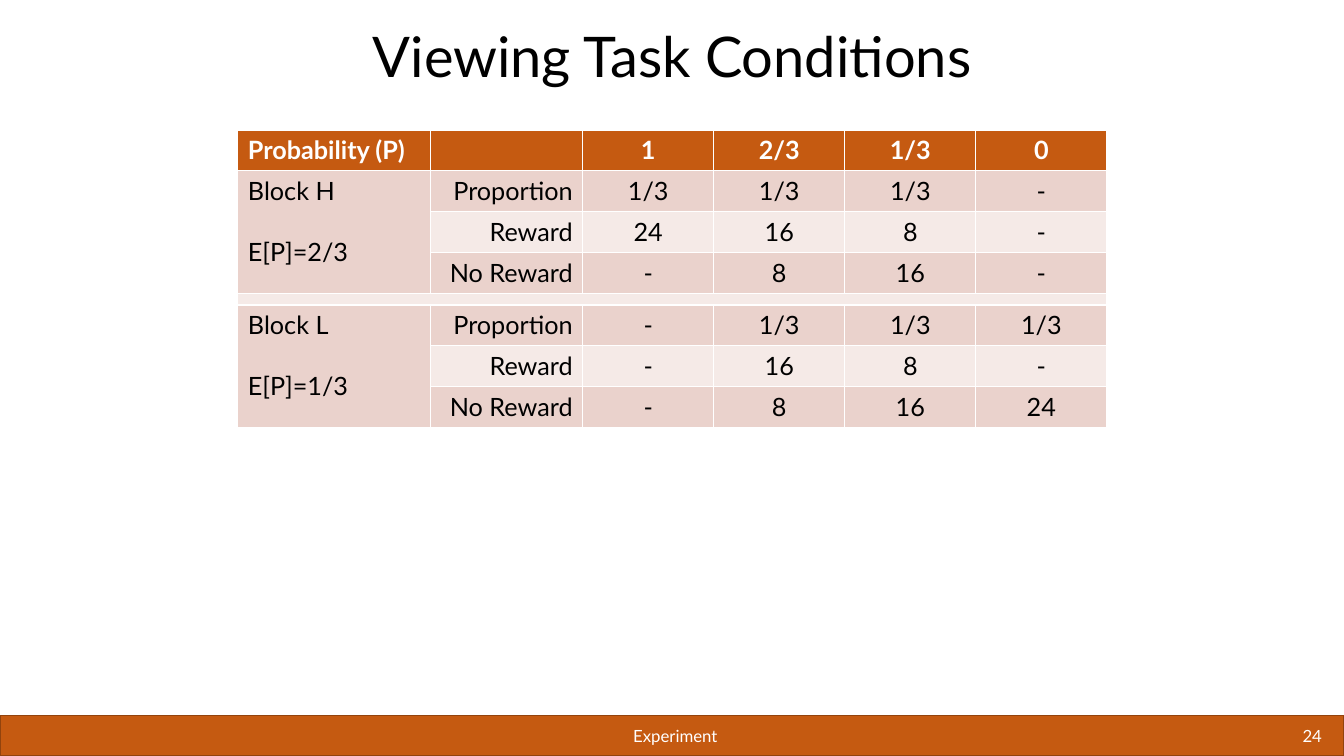
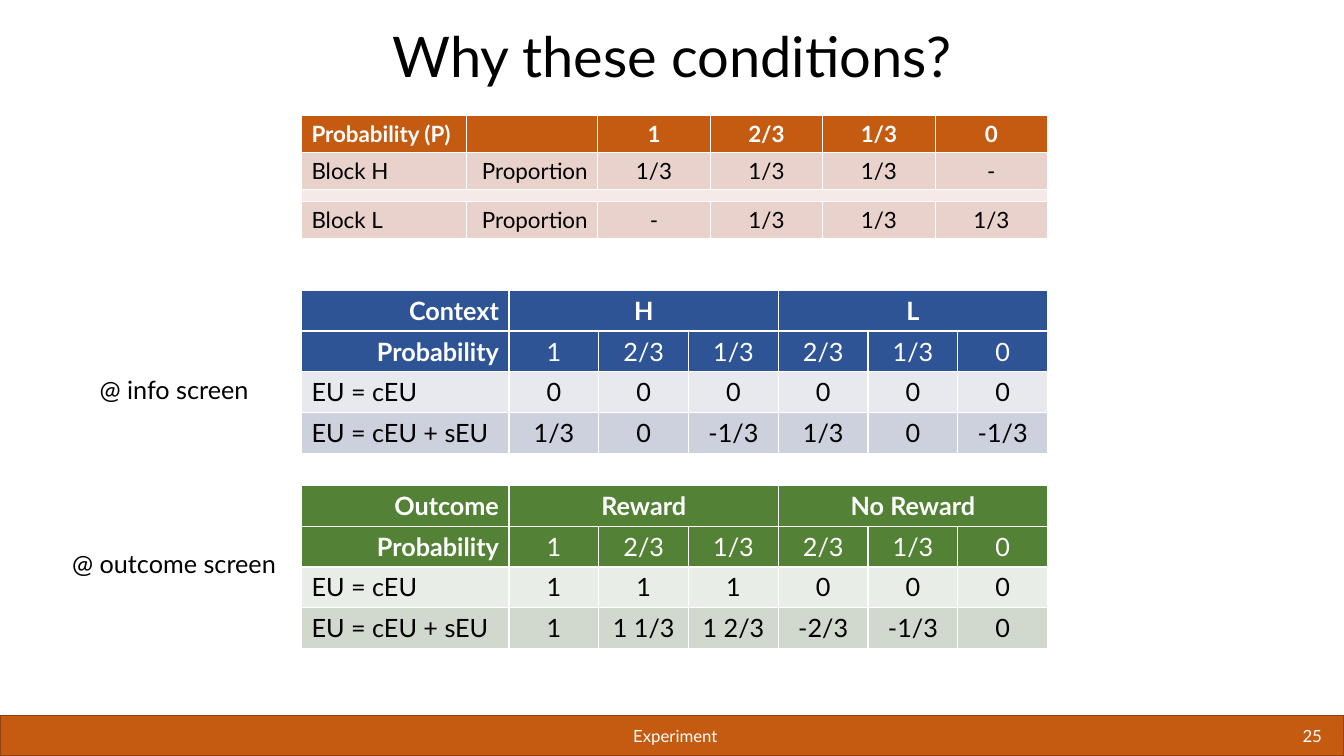
from lxml.etree import SubElement
from pptx import Presentation
from pptx.dml.color import RGBColor
from pptx.enum.shapes import MSO_SHAPE
from pptx.enum.text import MSO_ANCHOR, MSO_AUTO_SIZE, PP_ALIGN
from pptx.oxml.ns import qn
from pptx.util import Inches, Pt

SLIDE_WIDTH = Inches(13.33)
SLIDE_HEIGHT = Inches(7.5)
TITLE_ONLY = 5
FONT = "Lato"
WHITE, BLACK = "FFFFFF", "000000"
ORANGE, ORANGE_EDGE = "C55A11", "92430D"
ORANGE_THEME = (ORANGE, "EAD2CC", "F5EAE7")
BLUE_THEME = ("2F5496", "CDD1DD", "E8E9EF")
GREEN_THEME = ("538135", "D1D8CE", "E9EDE8")
ALIGNMENTS = {"l": PP_ALIGN.LEFT, "c": PP_ALIGN.CENTER, "r": PP_ALIGN.RIGHT}
BAND = (0, 94.67, 100, 5.33)
GAP_ROW = []
BLOCK_HEADER = ["Probability (P)", "", "1", "2/3", "1/3", "0"]
HIGH_PROPORTION = ["Proportion", "1/3", "1/3", "1/3", "-"]
LOW_PROPORTION = ["Proportion", "-", "1/3", "1/3", "1/3"]


def color(value):
    return RGBColor.from_string(value)


def across(percent):
    return round(SLIDE_WIDTH * percent / 100)


def down(percent):
    return round(SLIDE_HEIGHT * percent / 100)


def area(left, top, width, height):
    return across(left), down(top), across(width), down(height)


def write(text_frame, text, size, text_color, alignment="c", bold=False):
    text_frame.text = text
    for paragraph in text_frame.paragraphs:
        paragraph.alignment = ALIGNMENTS[alignment]
        font = paragraph.font
        font.name = FONT
        font.size = Pt(size)
        font.bold = bold
        font.color.rgb = color(text_color)


def set_empty_size(cell, size):
    paragraph = cell.text_frame.paragraphs[0]
    SubElement(paragraph._p, qn("a:endParaRPr"), sz=str(size * 100))


def add_label(slide, position, text, size, text_color, alignment="c"):
    shape = slide.shapes.add_textbox(*area(*position))
    text_frame = shape.text_frame
    text_frame.word_wrap = True
    text_frame.vertical_anchor = MSO_ANCHOR.MIDDLE
    write(text_frame, text, size, text_color, alignment)


def add_footer(slide, number):
    band = slide.shapes.add_shape(MSO_SHAPE.RECTANGLE, *area(*BAND))
    band.shadow.inherit = False
    band.fill.solid()
    band.fill.fore_color.rgb = color(ORANGE)
    band.line.color.rgb = color(ORANGE_EDGE)
    band.line.width = Pt(1)
    _, top, _, height = BAND
    add_label(slide, (16.8, top, 66.9, height), "Experiment", 12, WHITE)
    add_label(slide, (83.65, top, 15.45, height), str(number), 12, WHITE, "r")


def add_titled_slide(presentation, title, number):
    slide = presentation.slides.add_slide(presentation.slide_layouts[TITLE_ONLY])
    shape = slide.shapes.title
    shape.left, shape.top, shape.width, shape.height = area(4.95, 3.07, 90.1, 9.47)
    text_frame = shape.text_frame
    text_frame.auto_size = MSO_AUTO_SIZE.NONE
    text_frame.vertical_anchor = MSO_ANCHOR.BOTTOM
    write(text_frame, title, 40, BLACK)
    text_frame.paragraphs[0].line_spacing = 0.9
    add_footer(slide, number)
    return slide


def add_grid(slide, left, top, widths, rows, theme, alignments, merges=(),
             header_rows=1, size=18, row_height=5.4, gap_height=1.5):
    header_fill, *bands = theme
    header_alignments, body_alignments = alignments
    heights = [row_height if row else gap_height for row in rows]
    position = area(left, top, sum(widths), sum(heights))
    table = slide.shapes.add_table(len(rows), len(widths), *position).table
    for column, width in zip(table.columns, widths):
        column.width = across(width)
    for row_index, (values, height) in enumerate(zip(rows, heights)):
        table.rows[row_index].height = down(height)
        is_header = row_index < header_rows
        row_alignments = header_alignments if is_header else body_alignments
        for column_index in range(len(widths)):
            cell = table.cell(row_index, column_index)
            cell.fill.solid()
            cell.fill.fore_color.rgb = color(
                header_fill if is_header else bands[(row_index - 1) % 2])
            text = values[column_index] if values else ""
            if text:
                bold = row_index == 0 or (is_header and column_index == 0)
                write(cell.text_frame, text, size, WHITE if is_header else BLACK,
                      row_alignments[column_index], bold)
                for paragraph in cell.text_frame.paragraphs[1:]:
                    paragraph.space_before = Pt(size * 1.2)
            else:
                set_empty_size(cell, size if values else 1)
        if not values:
            table.cell(row_index, 0).merge(table.cell(row_index, len(widths) - 1))
    for first, last in merges:
        table.cell(*first).merge(table.cell(*last))


def add_utility_grid(slide, top, theme, heading, groups, plain, combined):
    first_group, second_group = groups
    rows = [
        [heading, first_group, "", "", second_group, "", ""],
        ["Probability", "1", "2/3", "1/3", "2/3", "1/3", "0"],
        ["EU = cEU", *plain],
        ["EU = cEU + sEU", *combined],
    ]
    add_grid(slide, 22.43, top, [15.45] + [6.68] * 6, rows, theme,
             ("rcccccc", "lcccccc"), [((0, 1), (0, 3)), ((0, 4), (0, 6))],
             header_rows=2)


def add_conditions_slide(presentation):
    slide = add_titled_slide(presentation, "Viewing Task Conditions", 24)
    rows = [
        BLOCK_HEADER,
        ["Block H\nE[P]=2/3", *HIGH_PROPORTION],
        ["", "Reward", "24", "16", "8", "-"],
        ["", "No Reward", "-", "8", "16", "-"],
        GAP_ROW,
        ["Block L\nE[P]=1/3", *LOW_PROPORTION],
        ["", "Reward", "-", "16", "8", "-"],
        ["", "No Reward", "-", "8", "16", "24"],
    ]
    add_grid(slide, 17.7, 17.2, [14.33, 11.33] + [9.75] * 4, rows, ORANGE_THEME,
             ("lrcccc", "lrcccc"), [((1, 0), (3, 0)), ((5, 0), (7, 0))])


def add_reasons_slide(presentation):
    slide = add_titled_slide(presentation, "Why these conditions?", 25)
    rows = [
        BLOCK_HEADER,
        ["Block H", *HIGH_PROPORTION],
        GAP_ROW,
        ["Block L", *LOW_PROPORTION],
    ]
    add_grid(slide, 22.43, 15.27, [12.3, 9.75] + [8.37] * 4, rows, ORANGE_THEME,
             ("lrcccc", "lrcccc"), size=16, row_height=4.9, gap_height=1.6)
    add_utility_grid(slide, 38.4, BLUE_THEME, "Context", ("H", "L"),
                     ["0"] * 6, ["1/3", "0", "-1/3"] * 2)
    add_utility_grid(slide, 64.2, GREEN_THEME, "Outcome", ("Reward", "No Reward"),
                     ["1"] * 3 + ["0"] * 3,
                     ["1", "1 1/3", "1 2/3", "-2/3", "-1/3", "0"])
    for top, text in [(48.8, "@ info screen"), (71.8, "@ outcome screen")]:
        add_label(slide, (3.6, top, 18.7, 5.33), text, 18, BLACK)


def main():
    presentation = Presentation()
    presentation.slide_width = SLIDE_WIDTH
    presentation.slide_height = SLIDE_HEIGHT
    add_conditions_slide(presentation)
    add_reasons_slide(presentation)
    presentation.save("out.pptx")


if __name__ == "__main__":
    main()
